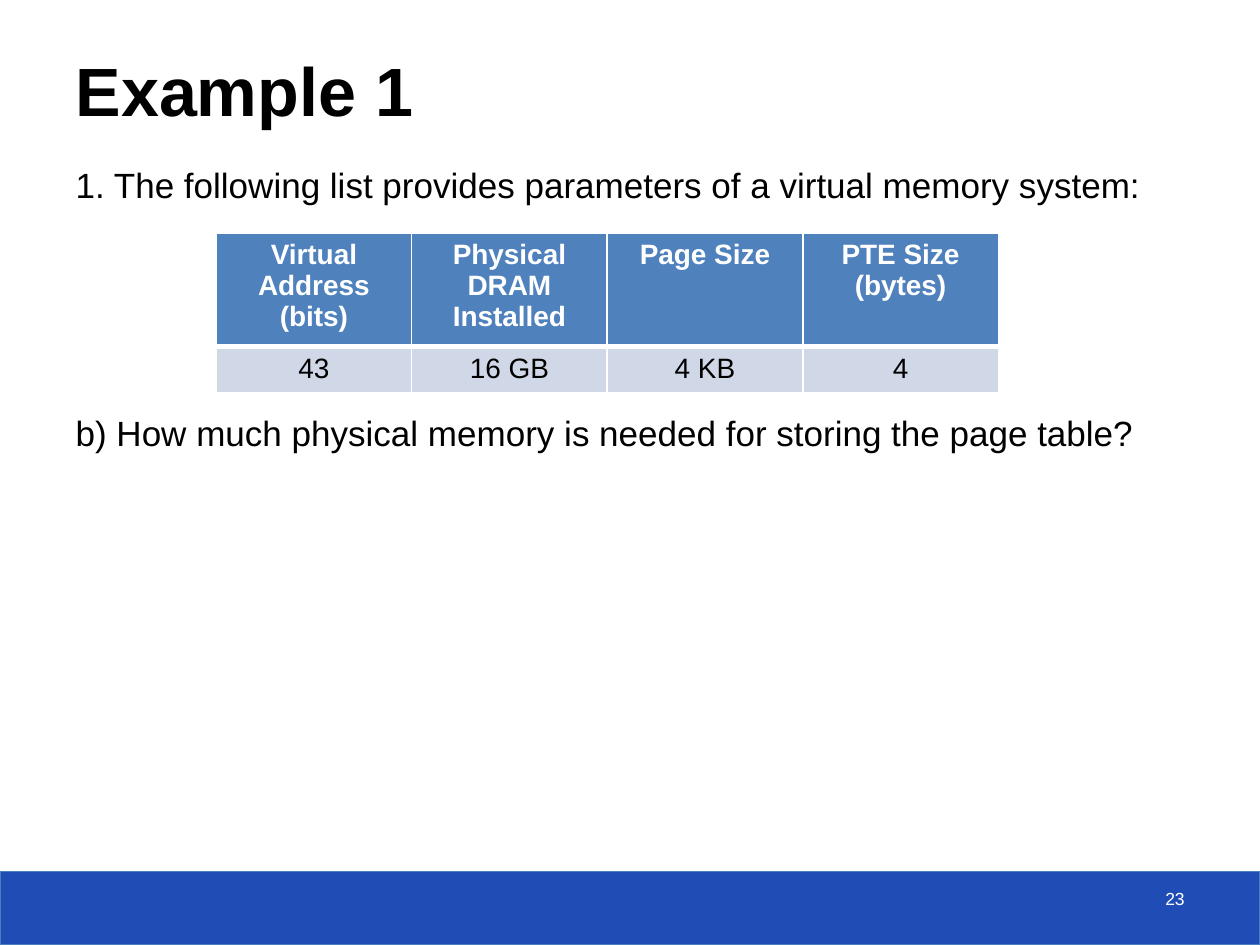
from lxml.etree import SubElement
from pptx import Presentation
from pptx.dml.color import RGBColor
from pptx.enum.shapes import MSO_SHAPE as Shape
from pptx.enum.text import MSO_ANCHOR as Anchor, MSO_AUTO_SIZE as AutoSize, PP_ALIGN as Align
from pptx.oxml.ns import qn
from pptx.util import Pt

COLORS = {
    "black": "000000", "white": "FFFFFF", "band": "204DB5",
    "band_line": "4B7EBC", "header": "4F81BD", "row": "D0D8E8",
}
PARAMETERS = [
    ["Virtual Address (bits)", "Physical DRAM Installed", "Page Size", "PTE Size (bytes)"],
    ["43", "16 GB", "4 KB", "4"],
]


class SlideBuilder:
    font = "Arial"

    def __init__(self, slide):
        self.slide = slide

    def color(self, name):
        return RGBColor.from_string(COLORS[name])

    def fill(self, target, name):
        target.fill.solid()
        target.fill.fore_color.rgb = self.color(name)

    def place(self, shape, left, top, width, height):
        shape.left, shape.top = Pt(left), Pt(top)
        shape.width, shape.height = Pt(width), Pt(height)

    def set_text(self, paragraph, text, size, color="black", bold=False, align=Align.LEFT):
        paragraph.text = text
        paragraph.alignment = align
        for run in paragraph.runs:
            run.font.name, run.font.size, run.font.bold = self.font, Pt(size), bold
            run.font.color.rgb = self.color(color)

    def title(self, text, *box):
        heading = self.slide.shapes.title
        self.place(heading, *box)
        self.fill(heading, "white")
        tint = heading.element.spPr.find(f".//{qn('a:srgbClr')}")
        SubElement(tint, qn("a:alpha"), val="70000")
        frame = heading.text_frame
        frame.auto_size = AutoSize.NONE
        frame.vertical_anchor = Anchor.BOTTOM
        self.set_text(frame.paragraphs[0], text, 39, bold=True)

    def body(self, entries, *box):
        """Fill the body with (text, space before) entries, without bullets."""
        body = self.slide.placeholders[1]
        self.place(body, *box)
        frame = body.text_frame
        frame.auto_size = AutoSize.NONE
        frame.text = "\n".join(text for text, _ in entries)
        for paragraph, (text, gap) in zip(frame.paragraphs, entries):
            self.set_text(paragraph, text, 20)
            paragraph.space_before = Pt(gap)
            properties = paragraph._p.get_or_add_pPr()
            properties.set("marL", "0")
            properties.set("indent", "0")
            SubElement(properties, qn("a:buNone"))

    def band(self, *box):
        band = self.slide.shapes.add_shape(Shape.RECTANGLE, *map(Pt, box))
        band.shadow.inherit = False
        self.fill(band, "band")
        band.line.color.rgb = self.color("band_line")
        band.line.width = Pt(0.75)

    def label(self, text, *box):
        frame = self.slide.shapes.add_textbox(*map(Pt, box)).text_frame
        frame.word_wrap = True
        self.set_text(frame.paragraphs[0], text, 10, "white", align=Align.RIGHT)

    def borders(self, cell, widths):
        properties = cell._tc.get_or_add_tcPr()
        for side, width in widths.items():
            line = SubElement(properties, qn(f"a:ln{side}"), w=str(Pt(width)))
            solid = SubElement(line, qn("a:solidFill"))
            SubElement(solid, qn("a:srgbClr"), val=COLORS["white"])

    def table(self, rows, heights, left, top, width):
        table = self.slide.shapes.add_table(
            len(rows), len(rows[0]), Pt(left), Pt(top), Pt(width), Pt(sum(heights))).table
        for r, (values, height) in enumerate(zip(rows, heights)):
            table.rows[r].height = Pt(height)
            is_header = r == 0
            widths = {"L": 1, "R": 1, "T": 1 if is_header else 3, "B": 3 if is_header else 1}
            for c, value in enumerate(values):
                cell = table.cell(r, c)
                self.borders(cell, widths)
                self.fill(cell, "header" if is_header else "row")
                self.set_text(cell.text_frame.paragraphs[0], value, 16,
                              "white" if is_header else "black", is_header, Align.CENTER)


def main():
    deck = Presentation()
    deck.slide_width, deck.slide_height = Pt(720), Pt(540)
    page = SlideBuilder(deck.slides.add_slide(deck.slide_layouts[1]))
    page.band(0, 498, 720, 42)
    page.title("Example 1", 36, 18, 669, 60)
    page.body([
        ("1. The following list provides parameters of a virtual memory system:", 4),
        ("b) How much physical memory is needed for storing the page table?", 117.5),
    ], 36, 90, 648, 402)
    page.label("23", 516, 504, 168, 24)
    page.table(PARAMETERS, [52.5, 24], 123.5, 133.2, 447)
    deck.save("out.pptx")


if __name__ == "__main__":
    main()
